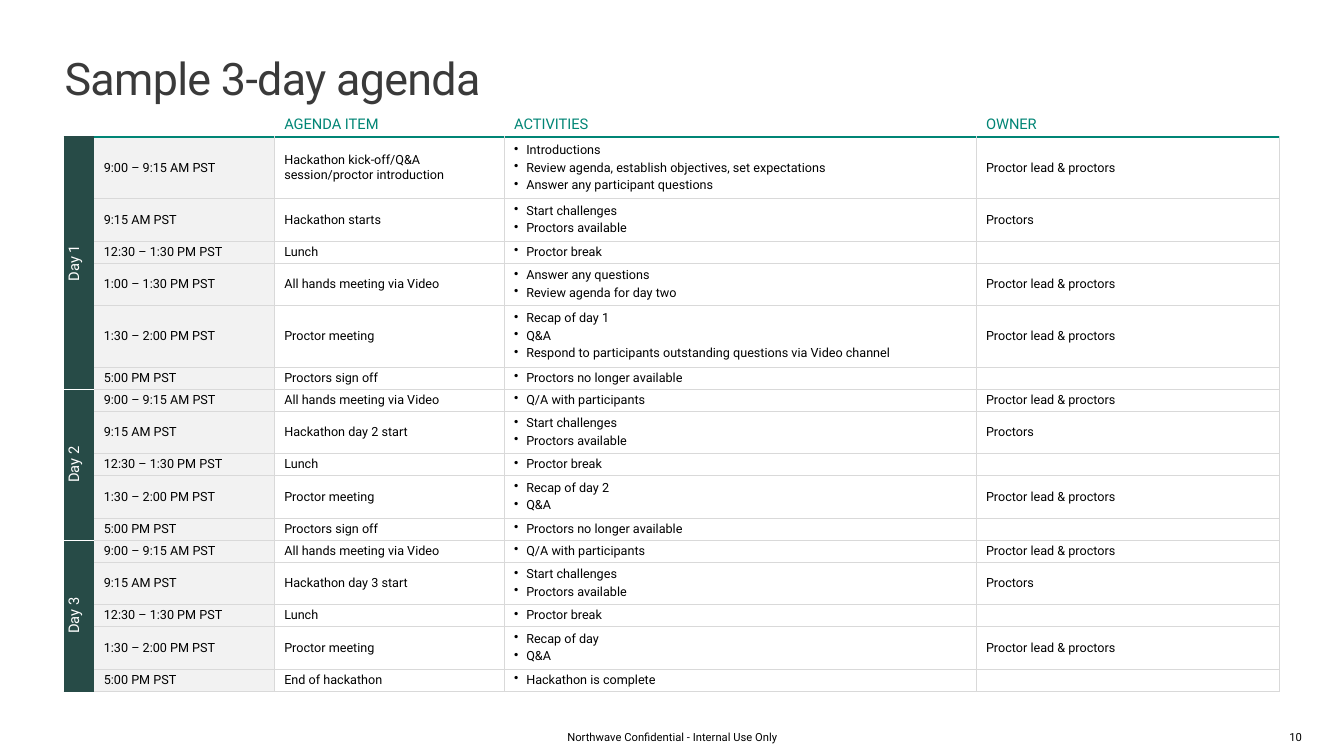
from lxml import etree
from pptx import Presentation
from pptx import util as u
from pptx.dml.color import RGBColor
from pptx.enum import text
from pptx.oxml.ns import qn

TITLE = "Sample 3-day agenda"
FOOTER = "Northwave Confidential - Internal Use Only"
PAGE = "10"
HEADINGS = ["", "", "AGENDA ITEM", "ACTIVITIES", "OWNER"]
LEADS = "Proctor lead & proctors"
ALL_HANDS = "All hands meeting via Video"
START = ["Start challenges", "Proctors available"]
LUNCH = ("12:30 – 1:30 PM PST", "Lunch", ["Proctor break"], "")
SIGN_OFF = ("5:00 PM PST", "Proctors sign off", ["Proctors no longer available"], "")
MORNING = ("9:00 – 9:15 AM PST", ALL_HANDS, ["Q/A with participants"], LEADS)
DAYS = {
    "Day 1": [
        ("9:00 – 9:15 AM PST", "Hackathon kick-off/Q&A session/proctor introduction",
         ["Introductions", "Review agenda, establish objectives, set expectations",
          "Answer any participant questions"], LEADS),
        ("9:15 AM PST", "Hackathon starts", START, "Proctors"),
        LUNCH,
        ("1:00 – 1:30 PM PST", ALL_HANDS,
         ["Answer any questions", "Review agenda for day two"], LEADS),
        ("1:30 – 2:00 PM PST", "Proctor meeting",
         ["Recap of day 1", "Q&A",
          "Respond to participants outstanding questions via Video channel"], LEADS),
        SIGN_OFF,
    ],
    "Day 2": [
        MORNING,
        ("9:15 AM PST", "Hackathon day 2 start", START, "Proctors"),
        LUNCH,
        ("1:30 – 2:00 PM PST", "Proctor meeting", ["Recap of day 2", "Q&A"], LEADS),
        SIGN_OFF,
    ],
    "Day 3": [
        MORNING,
        ("9:15 AM PST", "Hackathon day 3 start", START, "Proctors"),
        LUNCH,
        ("1:30 – 2:00 PM PST", "Proctor meeting", ["Recap of day", "Q&A"], LEADS),
        ("5:00 PM PST", "End of hackathon", ["Hackathon is complete"], ""),
    ],
}
COLORS = {"title": "3A3A3A", "body": "000000", "white": "FFFFFF", "teal": "008575",
          "day": "274B47", "time": "F2F2F2", "grid": "D9D9D9"}
FONT = "Roboto"
COLUMN_WIDTHS = [0.3, 1.79, 2.28, 4.68, 3.01]
HEADING_HEIGHT = 0.25
HEIGHT_BY_LINES = {1: 0.22, 2: 0.42, 3: 0.61}
GRID = ("grid", 0.25)
RULE = ("teal", 1.5)
CELL_FORMAT = {"margin_left": u.Inches(0.1), "margin_right": u.Inches(0.1),
               "margin_top": u.Inches(0.02), "margin_bottom": u.Inches(0.02),
               "vertical_anchor": text.MSO_ANCHOR.MIDDLE}


def apply(target, values):
    for key, value in values.items():
        setattr(target, key, value)


def write(paragraph, words, size, color):
    run = paragraph.add_run()
    run.text = words
    apply(run.font, {"name": FONT, "size": u.Pt(size)})
    run.font.color.rgb = RGBColor.from_string(COLORS[color])
    return run


def add_label(slide, box, words, size, color, align, anchor):
    label = slide.shapes.add_textbox(*map(u.Inches, box))
    frame = label.text_frame
    apply(frame, {"word_wrap": True, "vertical_anchor": anchor, "margin_left": 0,
                  "margin_right": 0, "margin_top": 0, "margin_bottom": 0})
    frame.paragraphs[0].alignment = align
    return write(frame.paragraphs[0], words, size, color)


def add_bullet(paragraph):
    props = paragraph._p.get_or_add_pPr()
    props.set("marL", str(u.Inches(0.12)))
    props.set("indent", str(-u.Inches(0.12)))
    etree.SubElement(props, qn("a:buChar"), char="•")


def set_borders(cell, borders):
    props = cell._tc.get_or_add_tcPr()
    for index, side in enumerate("LRTB"):
        line = etree.Element(qn("a:ln" + side))
        if side in borders:
            color, width = borders[side]
            line.set("w", str(u.Pt(width)))
            fill = etree.SubElement(line, qn("a:solidFill"))
            etree.SubElement(fill, qn("a:srgbClr"), val=COLORS[color])
        else:
            line.set("w", "0")
            etree.SubElement(line, qn("a:noFill"))
        props.insert(index, line)


def fill_cell(cell, lines, size, color, fill, borders, bulleted=False, align=None):
    apply(cell, CELL_FORMAT)
    if fill:
        cell.fill.solid()
        cell.fill.fore_color.rgb = RGBColor.from_string(COLORS[fill])
    else:
        cell.fill.background()
    set_borders(cell, borders)
    frame = cell.text_frame
    for index, words in enumerate(lines):
        paragraph = frame.add_paragraph() if index else frame.paragraphs[0]
        if bulleted:
            add_bullet(paragraph)
        apply(paragraph, {"alignment": align, "space_after": u.Pt(1),
                          "space_before": u.Pt(1 if index else 0)})
        if words:
            write(paragraph, words, size, color)
        else:
            etree.SubElement(paragraph._p, qn("a:endParaRPr"), sz=str(size * 100))


def add_agenda(slide):
    sessions = [session for day in DAYS.values() for session in day]
    heights = [HEADING_HEIGHT] + [HEIGHT_BY_LINES[len(s[2])] for s in sessions]
    agenda = slide.shapes.add_table(
        len(heights), len(COLUMN_WIDTHS), u.Inches(0.63), u.Inches(1.11),
        u.Inches(sum(COLUMN_WIDTHS)), u.Inches(sum(heights))).table
    apply(agenda, {"first_row": False, "horz_banding": False})
    for column, width in zip(agenda.columns, COLUMN_WIDTHS):
        column.width = u.Inches(width)
    for row, height in zip(agenda.rows, heights):
        row.height = u.Inches(height)

    for index, heading in enumerate(HEADINGS):
        rule = RULE if index else ("day", 1.5)
        fill_cell(agenda.cell(0, index), [heading], 10.5 if heading else 9, "teal", None,
                  {"B": rule})

    first = 1
    for day, day_sessions in DAYS.items():
        last = first + len(day_sessions) - 1
        day_borders = {"T": ("day", 1.5) if first == 1 else ("white", 0.25),
                       "B": ("day" if last == len(sessions) else "white", 0.25)}
        for row, (time, item, activities, owner) in enumerate(day_sessions, first):
            borders = {"T": RULE if row == 1 else GRID, "R": GRID, "B": GRID}
            boxed = {**borders, "L": GRID}
            edges = {side: line for side, line in day_borders.items()
                     if row == first or (side == "B" and row == last)}
            fill_cell(agenda.cell(row, 0), [day if row == first else ""],
                      10.5 if row == first else 9, "white", "day", edges,
                      align=text.PP_ALIGN.CENTER)
            fill_cell(agenda.cell(row, 1), [time], 9, "body", "time", borders)
            fill_cell(agenda.cell(row, 2), [item], 9, "body", "white", boxed)
            fill_cell(agenda.cell(row, 3), activities, 9, "body", "white", boxed, True)
            fill_cell(agenda.cell(row, 4), [owner], 9, "body", "white", boxed)
        day_cell = agenda.cell(first, 0)
        day_cell.merge(agenda.cell(last, 0))
        day_cell._tc.get_or_add_tcPr().set("vert", "vert270")
        first = last + 1


def main():
    deck = Presentation()
    apply(deck, {"slide_width": u.Inches(13.33), "slide_height": u.Inches(7.5)})
    slide = deck.slides.add_slide(deck.slide_layouts[6])
    title = add_label(slide, (0.64, 0.5, 12.05, 0.54), TITLE, 32, "title",
                      text.PP_ALIGN.LEFT, text.MSO_ANCHOR.TOP)
    title._r.get_or_add_rPr().set("spc", "-50")
    for box, words in [((4.42, 7.25, 4.5, 0.13), FOOTER), ((12.73, 7.25, 0.24, 0.13), PAGE)]:
        add_label(slide, box, words, 8, "body", text.PP_ALIGN.CENTER, text.MSO_ANCHOR.MIDDLE)
    add_agenda(slide)
    deck.save("out.pptx")


if __name__ == "__main__":
    main()
